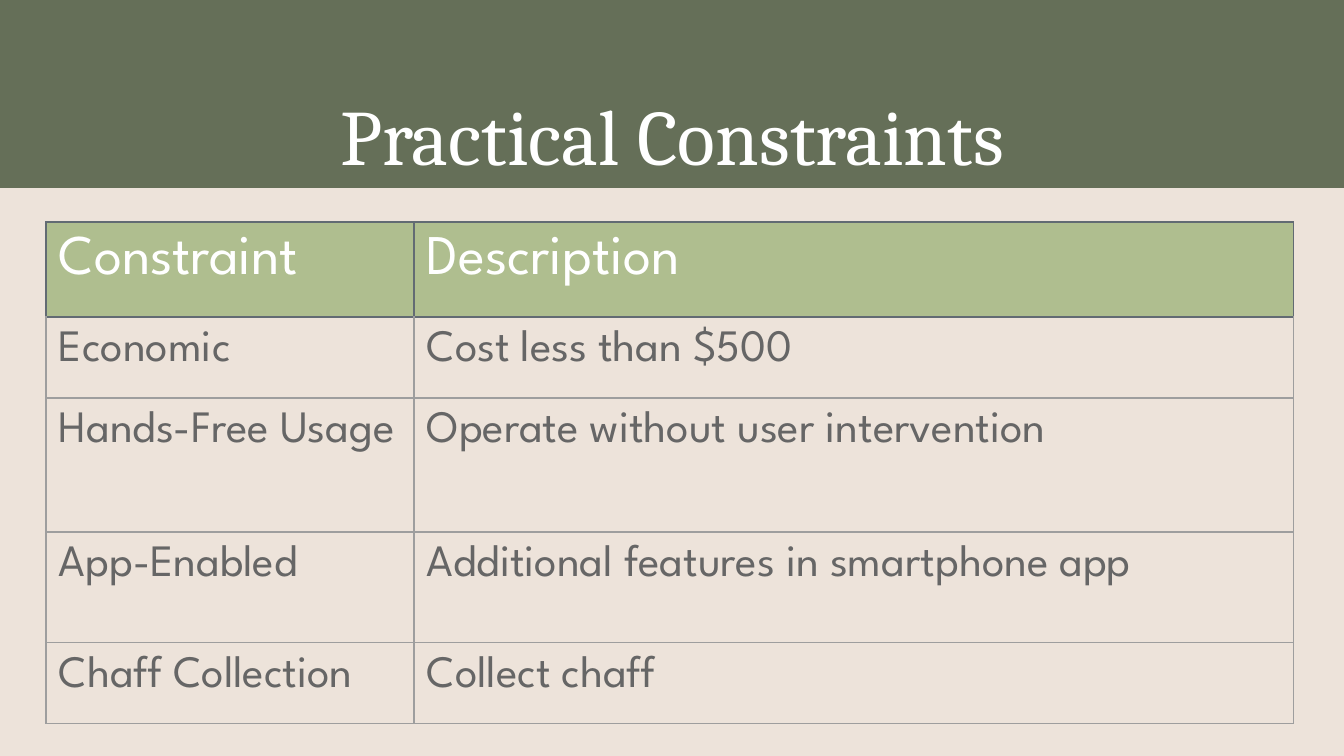
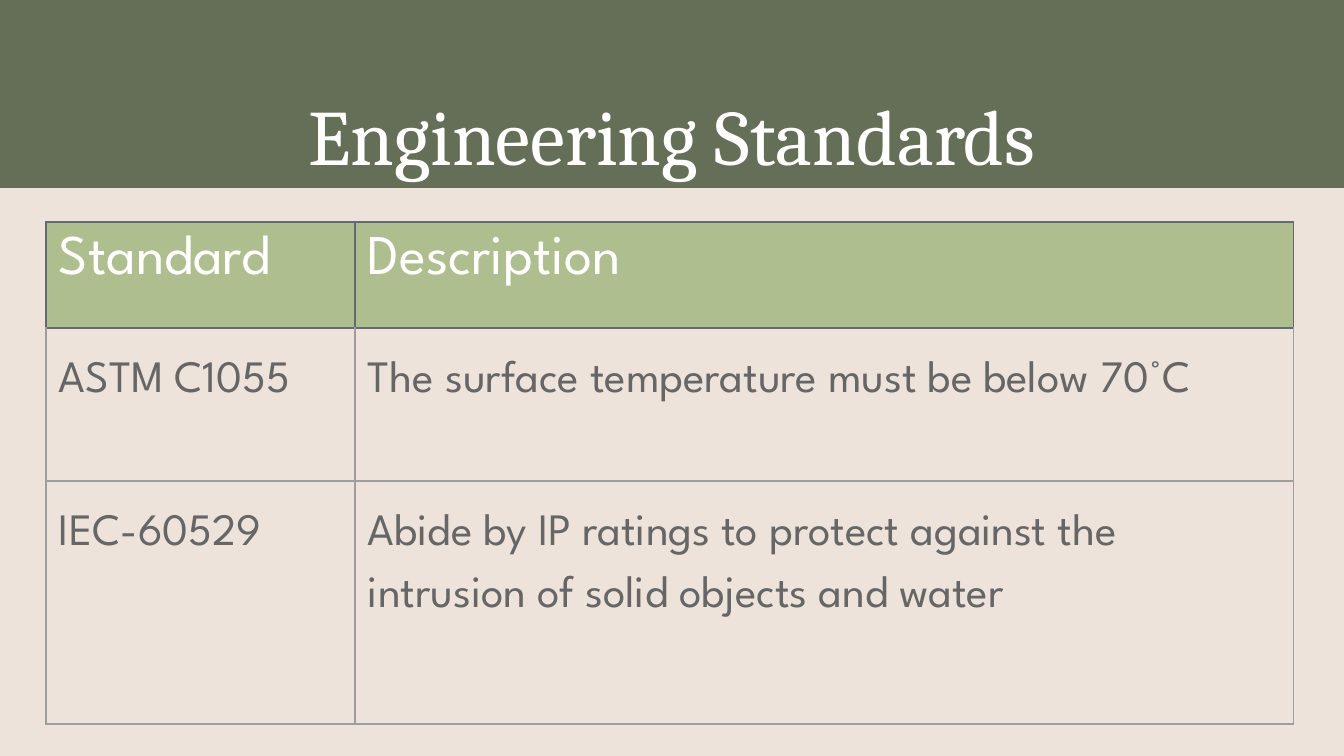
import pptx
import pptx.util
import pptx.dml.color
import pptx.enum.shapes
import pptx.enum.text
import pptx.oxml.ns
from dataclasses import dataclass
from lxml import etree

SCALE = 914400 / 134.4  # EMU in one px


@dataclass(frozen=True)
class Theme:
    back: str = "EDE3DA"
    band: str = "656F58"
    head: str = "AFBE8F"
    white: str = "FFFFFF"
    ink: str = "666666"
    edge: str = "9E9E9E"
    rim: str = "626B73"
    serif: str = "Cambria"
    sans: str = "League Spartan"
    title: int = 42
    label: int = 30
    body: int = 24
    line: float = 0.75
    inset: int = 13


THEME = Theme()


def px(n):
    return pptx.util.Emu(round(n * SCALE))


def paint(fill, color):
    fill.solid()
    fill.fore_color.rgb = pptx.dml.color.RGBColor.from_string(color)


def style(para, face, size, color):
    font = para.font
    font.name = face
    font.size = pptx.util.Pt(size)
    font.color.rgb = pptx.dml.color.RGBColor.from_string(color)


def pad(item):
    """Give a cell or text frame the same inset on all sides."""
    for side in ("left", "top", "right", "bottom"):
        setattr(item, f"margin_{side}", px(THEME.inset))


def border(cell, color, top):
    props = cell._tc.get_or_add_tcPr()
    sides = (("lnL", color), ("lnR", color), ("lnT", top), ("lnB", color))
    for spot, (tag, tint) in enumerate(sides):
        line = etree.Element(pptx.oxml.ns.qn(f"a:{tag}"),
                             w=str(pptx.util.Pt(THEME.line)))
        solid = etree.SubElement(line, pptx.oxml.ns.qn("a:solidFill"))
        etree.SubElement(solid, pptx.oxml.ns.qn("a:srgbClr"), val=tint)
        props.insert(spot, line)


def add_page(deck, title):
    """Add a slide with its background, top band and title."""
    page = deck.slides.add_slide(deck.slide_layouts[6])
    paint(page.background.fill, THEME.back)
    band = page.shapes.add_shape(pptx.enum.shapes.MSO_SHAPE.RECTANGLE,
                                 0, 0, deck.slide_width, px(188))
    band.shadow.inherit = False
    paint(band.fill, THEME.band)
    band.line.fill.background()

    frame = page.shapes.add_textbox(px(46), px(74), px(1252), px(92)).text_frame
    frame.word_wrap = True
    frame.vertical_anchor = pptx.enum.text.MSO_ANCHOR.TOP
    pad(frame)
    para = frame.paragraphs[0]
    para.text = title
    para.alignment = pptx.enum.text.PP_ALIGN.CENTER
    style(para, THEME.serif, THEME.title, THEME.white)
    return page


def add_grid(page, rows, wide, tall, lead=None, after=None):
    """Add a table; lead and after set the line and paragraph spacing of its body."""
    grid = page.shapes.add_table(len(rows), len(wide), px(46), px(222),
                                 px(sum(wide)), px(sum(tall))).table
    grid.first_row = grid.horz_banding = False
    for col, size in zip(grid.columns, wide):
        col.width = px(size)
    for r, (texts, size) in enumerate(zip(rows, tall)):
        grid.rows[r].height = px(size)
        for c, text in enumerate(texts):
            cell = grid.cell(r, c)
            pad(cell)
            para = cell.text_frame.paragraphs[0]
            para.text = text
            if r == 0:
                paint(cell.fill, THEME.head)
                style(para, THEME.sans, THEME.label, THEME.white)
            else:
                cell.fill.background()
                style(para, THEME.sans, THEME.body, THEME.ink)
                if lead:
                    para.line_spacing = lead
                if after:
                    para.space_after = pptx.util.Pt(after)
            border(cell, THEME.edge if r else THEME.rim,
                   THEME.edge if r > 1 else THEME.rim)


def main():
    deck = pptx.Presentation()
    deck.slide_width, deck.slide_height = px(1344), px(756)

    page = add_page(deck, "Practical Constraints")
    add_grid(page, [
        ("Constraint", "Description"),
        ("Economic", "Cost less than $500"),
        ("Hands-Free Usage", "Operate without user intervention"),
        ("App-Enabled", "Additional features in smartphone app"),
        ("Chaff Collection", "Collect chaff"),
    ], wide=(368, 880), tall=(95, 81, 134, 111, 81))

    page = add_page(deck, "Engineering Standards")
    add_grid(page, [
        ("Standard", "Description"),
        ("ASTM C1055", "The surface temperature must be below 70°C"),
        ("IEC-60529", "Abide by IP ratings to protect against the "
                      "intrusion of solid objects and water"),
    ], wide=(309, 939), tall=(106, 153, 243), lead=1.5, after=16)

    deck.save("out.pptx")


if __name__ == "__main__":
    main()
